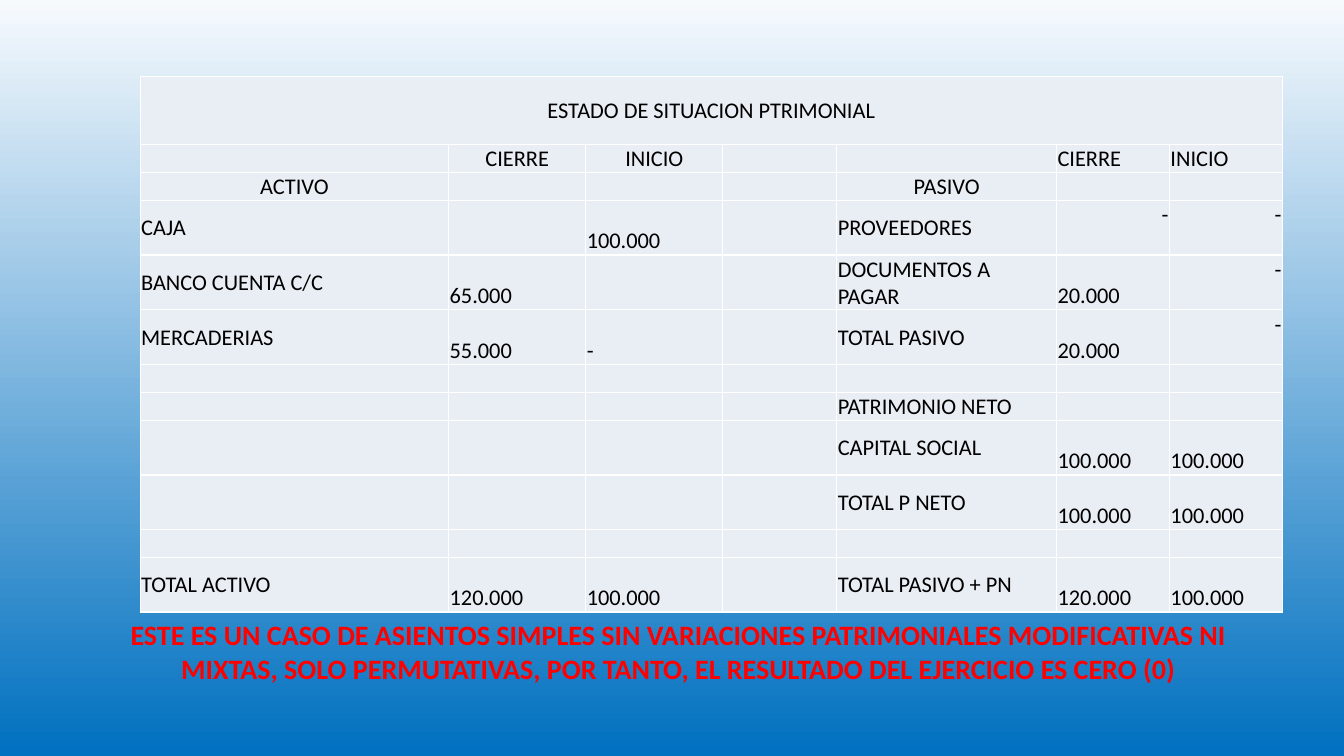
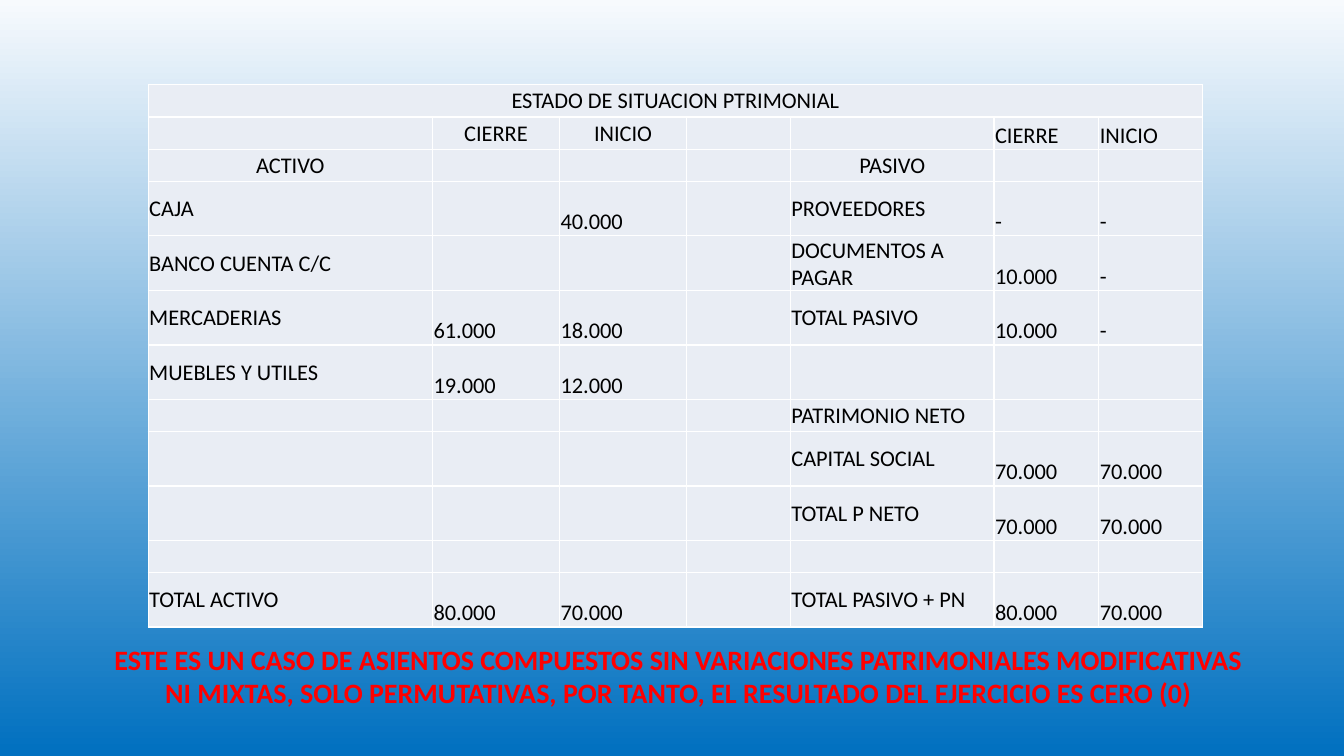
from lxml import etree
from pptx import Presentation
from pptx.dml.color import RGBColor
from pptx.enum import text
from pptx.oxml.ns import qn
from pptx.util import Inches, Pt

FONT = "Calibri"
BLACK, RED, WHITE, CELL_FILL = "000000", "FF0000", "FFFFFF", "E9EDF4"
BACKGROUND = ["F7FAFD", "0070C0"]
LEFT, CENTER, RIGHT = text.PP_ALIGN.LEFT, text.PP_ALIGN.CENTER, text.PP_ALIGN.RIGHT
TOP, MIDDLE, BOTTOM = text.MSO_ANCHOR.TOP, text.MSO_ANCHOR.MIDDLE, text.MSO_ANCHOR.BOTTOM
FIGURE_COLUMNS = (1, 2, 5, 6)
LIABILITY_COLUMNS = (5, 6)

HEADINGS = [
    ["ESTADO DE SITUACION PTRIMONIAL"] + [""] * 6,
    ["", "CIERRE", "INICIO", "", "", "CIERRE", "INICIO"],
    ["ACTIVO", "", "", "", "PASIVO", "", ""],
]

STATEMENTS = [
    {
        "left": 1.39, "top": 0.76, "caption_top": 6.08,
        "columns": [3.06, 1.36, 1.36, 1.13, 2.18, 1.12, 1.12],
        "title_row": 0.67, "low_row": 0.28, "tall_row": 0.54,
        "low_rows": (1, 2, 6, 7, 10),
        "raised_dashes": True,
        "caption": "ESTE ES UN CASO DE ASIENTOS SIMPLES SIN VARIACIONES PATRIMONIALES "
                   "MODIFICATIVAS NI MIXTAS, SOLO PERMUTATIVAS, POR TANTO, "
                   "EL RESULTADO DEL EJERCICIO ES CERO (0)",
        "accounts": [
            ["CAJA", "", "100.000", "", "PROVEEDORES", "-", "-"],
            ["BANCO CUENTA C/C", "65.000", "", "", "DOCUMENTOS A PAGAR", "20.000", "-"],
            ["MERCADERIAS", "55.000", "-", "", "TOTAL PASIVO", "20.000", "-"],
            [""] * 7,
            ["", "", "", "", "PATRIMONIO NETO", "", ""],
            ["", "", "", "", "CAPITAL SOCIAL", "100.000", "100.000"],
            ["", "", "", "", "TOTAL P NETO", "100.000", "100.000"],
            [""] * 7,
            ["TOTAL ACTIVO", "120.000", "100.000", "", "TOTAL PASIVO + PN", "120.000", "100.000"],
        ],
    },
    {
        "left": 1.47, "top": 0.84, "caption_top": 6.32,
        "columns": [2.82, 1.26, 1.26, 1.03, 2.02, 1.04, 1.03],
        "title_row": 0.32, "low_row": 0.32, "tall_row": 0.54,
        "low_rows": (1, 2, 7, 10),
        "raised_dashes": False,
        "caption": "ESTE ES UN CASO DE ASIENTOS COMPUESTOS SIN VARIACIONES PATRIMONIALES "
                   "MODIFICATIVAS NI MIXTAS, SOLO PERMUTATIVAS, POR TANTO, "
                   "EL RESULTADO DEL EJERCICIO ES CERO (0)",
        "accounts": [
            ["CAJA", "", "40.000", "", "PROVEEDORES", "-", "-"],
            ["BANCO CUENTA C/C", "", "", "", "DOCUMENTOS A PAGAR", "10.000", "-"],
            ["MERCADERIAS", "61.000", "18.000", "", "TOTAL PASIVO", "10.000", "-"],
            ["MUEBLES Y UTILES", "19.000", "12.000", "", "", "", ""],
            ["", "", "", "", "PATRIMONIO NETO", "", ""],
            ["", "", "", "", "CAPITAL SOCIAL", "70.000", "70.000"],
            ["", "", "", "", "TOTAL P NETO", "70.000", "70.000"],
            [""] * 7,
            ["TOTAL ACTIVO", "80.000", "70.000", "", "TOTAL PASIVO + PN", "80.000", "70.000"],
        ],
    },
]


def rgb(color):
    return RGBColor.from_string(color)


def format_cell(cell, words, alignment, anchor):
    """Write the words and give the cell its margins, white borders and fill."""
    cell.margin_left = cell.margin_right = cell.margin_top = Inches(0.01)
    cell.margin_bottom = 0
    cell.vertical_anchor = anchor
    properties = cell._tc.get_or_add_tcPr()
    for side in ("a:lnL", "a:lnR", "a:lnT", "a:lnB"):
        line = etree.SubElement(properties, qn(side), w=str(Pt(1)))
        line_fill = etree.SubElement(line, qn("a:solidFill"))
        etree.SubElement(line_fill, qn("a:srgbClr"), val=WHITE)
    cell.fill.solid()
    cell.fill.fore_color.rgb = rgb(CELL_FILL)
    paragraph = cell.text_frame.paragraphs[0]
    paragraph.alignment = alignment
    if words:
        paragraph.text = words
        font = paragraph.runs[0].font
        font.name, font.size, font.color.rgb = FONT, Pt(16), rgb(BLACK)
    else:
        # The end mark sets the line height of an empty cell
        etree.SubElement(paragraph._p, qn("a:endParaRPr"), sz="1600")


presentation = Presentation()
presentation.slide_width = Inches(13.33)
presentation.slide_height = Inches(7.5)

background = presentation.slide_master.background.fill
background.gradient()
background.gradient_angle = 270
for stop, color in zip(background.gradient_stops, BACKGROUND):
    stop.color.rgb = rgb(color)

for statement in STATEMENTS:
    slide = presentation.slides.add_slide(presentation.slide_layouts[6])

    caption = slide.shapes.add_textbox(
        Inches(0.88), Inches(statement["caption_top"]), Inches(11.7), Inches(0.77))
    caption.text_frame.word_wrap = True
    caption.text_frame.auto_size = text.MSO_AUTO_SIZE.SHAPE_TO_FIT_TEXT
    caption.text_frame.text = statement["caption"]
    paragraph = caption.text_frame.paragraphs[0]
    paragraph.alignment = CENTER
    font = paragraph.runs[0].font
    font.name, font.size, font.bold, font.color.rgb = FONT, Pt(20), True, rgb(RED)

    rows = HEADINGS + statement["accounts"]
    heights = [statement["low_row"] if index in statement["low_rows"] else statement["tall_row"]
               for index in range(len(rows))]
    heights[0] = statement["title_row"]
    widths = statement["columns"]
    table = slide.shapes.add_table(
        len(rows), len(widths), Inches(statement["left"]), Inches(statement["top"]),
        Inches(sum(widths)), Inches(sum(heights))).table
    table.first_row = table.horz_banding = False
    for column, width in zip(table.columns, widths):
        column.width = Inches(width)
    for row, height in zip(table.rows, heights):
        row.height = Inches(height)

    for row_index, row in enumerate(rows):
        for column_index, words in enumerate(row):
            alignment, anchor = LEFT, MIDDLE
            is_liability = column_index in LIABILITY_COLUMNS
            if row_index < len(HEADINGS):
                if is_liability:
                    anchor = BOTTOM
                else:
                    alignment = CENTER
            elif words == "-" and is_liability and statement["raised_dashes"]:
                alignment, anchor = RIGHT, TOP
            elif column_index in FIGURE_COLUMNS:
                anchor = BOTTOM
            format_cell(table.cell(row_index, column_index), words, alignment, anchor)
    table.cell(0, 0).merge(table.cell(0, len(widths) - 1))

presentation.save("out.pptx")
